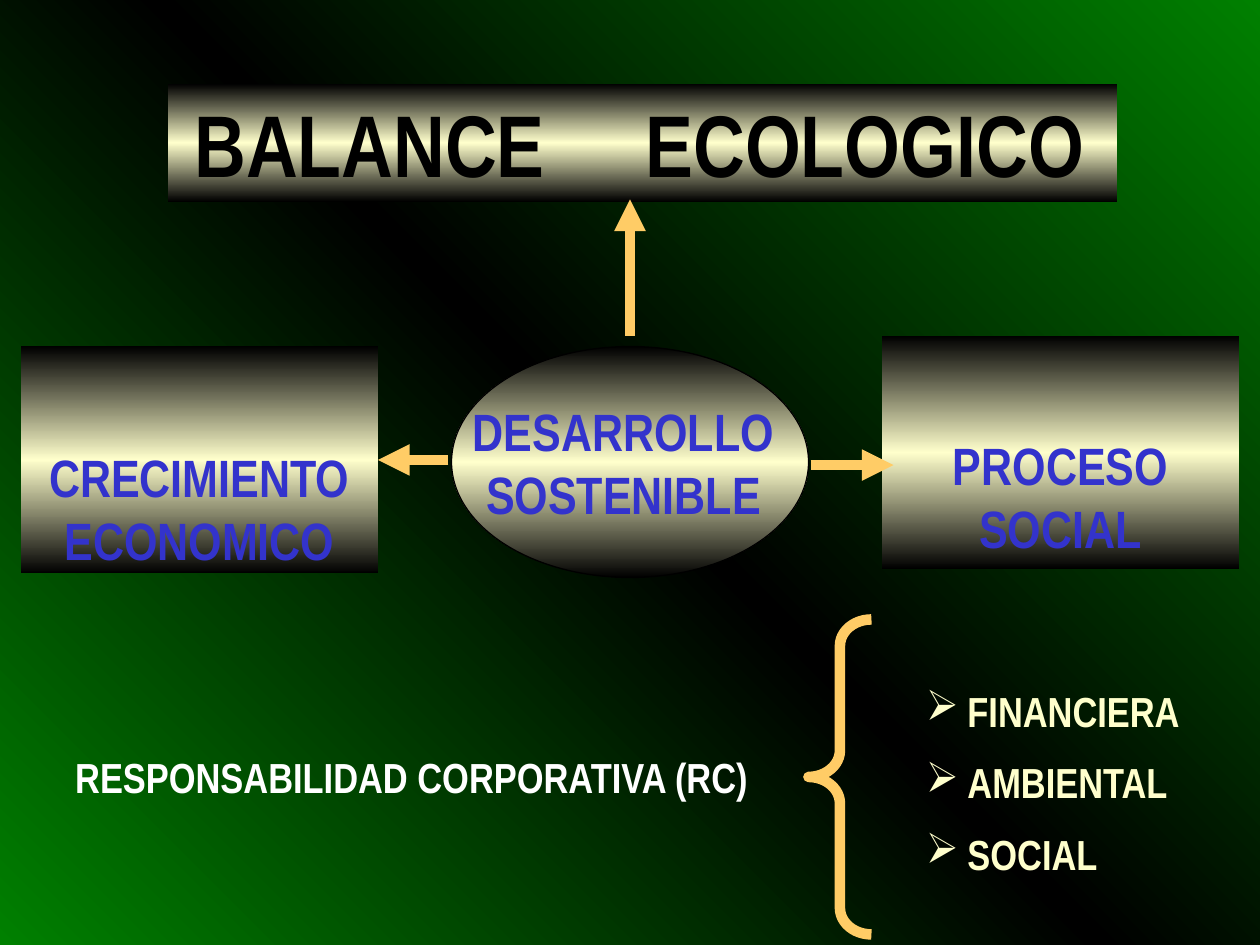
from copy import deepcopy

from lxml.etree import SubElement
from pptx import Presentation
from pptx.dml.color import RGBColor
from pptx.enum.shapes import MSO_CONNECTOR, MSO_SHAPE
from pptx.enum.text import MSO_ANCHOR, MSO_AUTO_SIZE, PP_ALIGN
from pptx.oxml.ns import qn
from pptx.util import Inches, Pt

BLACK, CREAM, GREEN = "000000", "FFFFCC", "008000"
BLUE, ORANGE, WHITE = "3333CC", "FFCC66", "FFFFFF"


def color(hex_string):
    return RGBColor.from_string(hex_string)


def write_text(shape, text, *, size, ink, align=PP_ALIGN.CENTER, anchor=MSO_ANCHOR.TOP,
               wrap=True, gap=0, bullet=None, tab=None, margins=(0.1, 0.05, 0.1, 0.05)):
    """Margins (left, top, right, bottom), hanging indent and tab are in inches."""
    frame = shape.text_frame
    frame.auto_size = MSO_AUTO_SIZE.NONE
    frame.word_wrap = wrap
    frame.vertical_anchor = anchor
    (frame.margin_left, frame.margin_top,
     frame.margin_right, frame.margin_bottom) = map(Inches, margins)
    frame.text = text
    for index, paragraph in enumerate(frame.paragraphs):
        properties = paragraph._p.get_or_add_pPr()
        if bullet:
            properties.set("marL", str(Inches(0.33)))
            properties.set("indent", str(-Inches(0.33)))
            SubElement(properties, qn("a:buChar"), char=bullet)
        if tab:
            tab_list = SubElement(properties, qn("a:tabLst"))
            SubElement(tab_list, qn("a:tab"), pos=str(Inches(tab)), algn="l")
        paragraph.alignment = align
        paragraph.space_before = Pt(gap if index else 0)
        for run in paragraph.runs:
            run.font.name = "Arial Narrow"
            run.font.size = Pt(size)
            run.font.bold = True
            run.font.color.rgb = color(ink)


presentation = Presentation()
presentation.slide_width, presentation.slide_height = Inches(10), Inches(7.5)
slide = presentation.slides.add_slide(presentation.slide_layouts[5])
shapes = slide.shapes

# The slide is a grid of 120 columns by 90 rows of square cells
cell = presentation.slide_width // 120

# Title band
title = shapes.title
title.left, title.top, title.width, title.height = (
    int(cell * count) for count in (16, 8, 90.4, 11.2))
write_text(title, "BALANCE\tECOLOGICO", size=50, ink=BLACK, align=PP_ALIGN.LEFT,
           anchor=MSO_ANCHOR.MIDDLE, tab=3.58, margins=(0.21, 0.05, 0.1, 0.05))

# Three concepts: outline, grid box, text and its format
bottom, middle = MSO_ANCHOR.BOTTOM, MSO_ANCHOR.MIDDLE
concepts = [
    (MSO_SHAPE.RECTANGLE, (2, 33, 34, 21.6), "CRECIMIENTO ECONOMICO",
     dict(anchor=bottom, margins=(0.1, 0.05, 0.1, 0.02))),
    (MSO_SHAPE.OVAL, (43, 33, 34, 22), "DESARROLLO\nSOSTENIBLE",
     dict(anchor=middle, wrap=False, margins=(0.1, 0.05, 0.2, 0.05))),
    (MSO_SHAPE.RECTANGLE, (84, 32, 34, 22.2), "PROCESO SOCIAL",
     dict(anchor=bottom, margins=(0.1, 0.05, 0.1, 0.08))),
]
panels = []
for outline, box, text, text_format in concepts:
    panel = shapes.add_shape(outline, *(int(cell * count) for count in box))
    panel.shadow.inherit = False
    if outline == MSO_SHAPE.OVAL:
        panel.line.color.rgb = color(BLACK)
        panel.line.width = Pt(0.75)
    else:
        panel.line.fill.background()
    write_text(panel, text, size=30, ink=BLUE, **text_format)
    panels.append(panel)
growth = panels[0]

# Gradients run from the edge colour to the middle colour and back
gradients = [(slide.background.fill, GREEN, BLACK, 45)]
gradients += [(shape.fill, BLACK, CREAM, 270) for shape in [title, *panels]]
for fill, edge, center, angle in gradients:
    fill.gradient()
    fill.gradient_angle = angle
    first, second = fill.gradient_stops
    first.color.rgb, second.color.rgb = color(edge), color(center)
    first.position, second.position = 0, 0.5
for stop_list in slide.element.iter(qn("a:gsLst")):
    last = deepcopy(stop_list[0])
    last.set("pos", "100000")
    stop_list.append(last)

# Corporate responsibility and its three parts
responsibility = shapes.add_textbox(*(int(cell * count) for count in (3, 71, 72.4, 6)))
write_text(responsibility, "RESPONSABILIDAD CORPORATIVA (RC)", size=24, ink=WHITE)

brace = shapes.add_shape(MSO_SHAPE.LEFT_BRACE, *(cell * count for count in (77, 59, 6, 30)))
brace.shadow.inherit = False
brace.adjustments[0] = 0.42
brace.fill.background()
brace.line.color.rgb = color(ORANGE)
brace.line.width = Pt(6)

parts = shapes.add_textbox(*(int(cell * count) for count in (87, 64.7, 30, 20.4)))
write_text(parts, "FINANCIERA\nAMBIENTAL\nSOCIAL", size=24, ink=CREAM,
           align=PP_ALIGN.LEFT, gap=12, bullet="➢")

# Arrows from the centre: start and end in grid cells, joined panel
arrows = [
    ((60, 32), (60, 19), None),
    ((42.7, 43.8), (36, 43.8), growth),
    ((77.2, 44.3), (85.1, 44.3), None),
]
for start, end, target in arrows:
    arrow = shapes.add_connector(MSO_CONNECTOR.STRAIGHT,
                                 *(int(cell * count) for count in start + end))
    if target:
        arrow.end_connect(target, 3)
    arrow.line.color.rgb = color(ORANGE)
    arrow.line.width = Pt(6)
    SubElement(arrow.line._get_or_add_ln(), qn("a:tailEnd"), type="triangle")
    SubElement(arrow._element.spPr, qn("a:effectLst"))

presentation.save("out.pptx")
